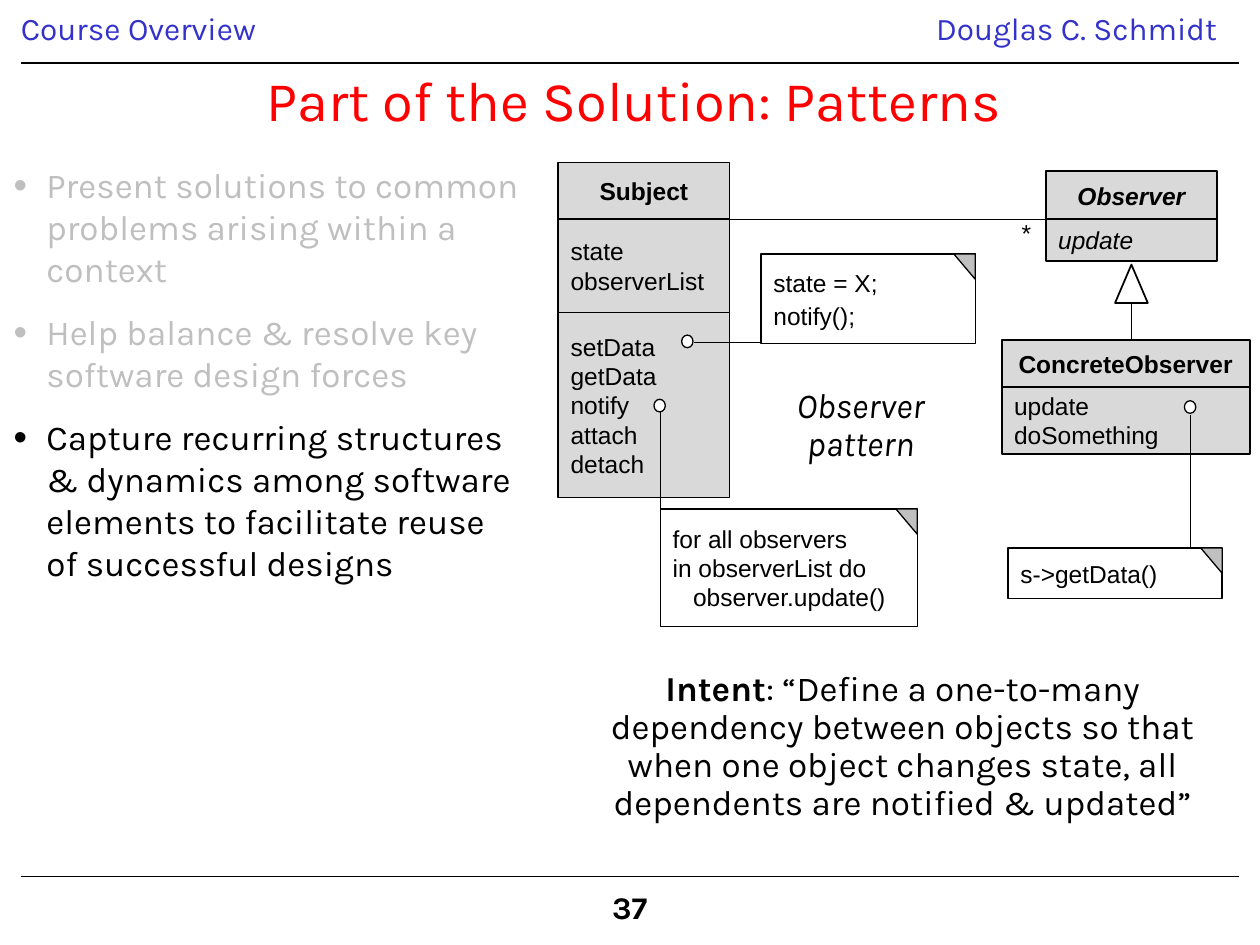
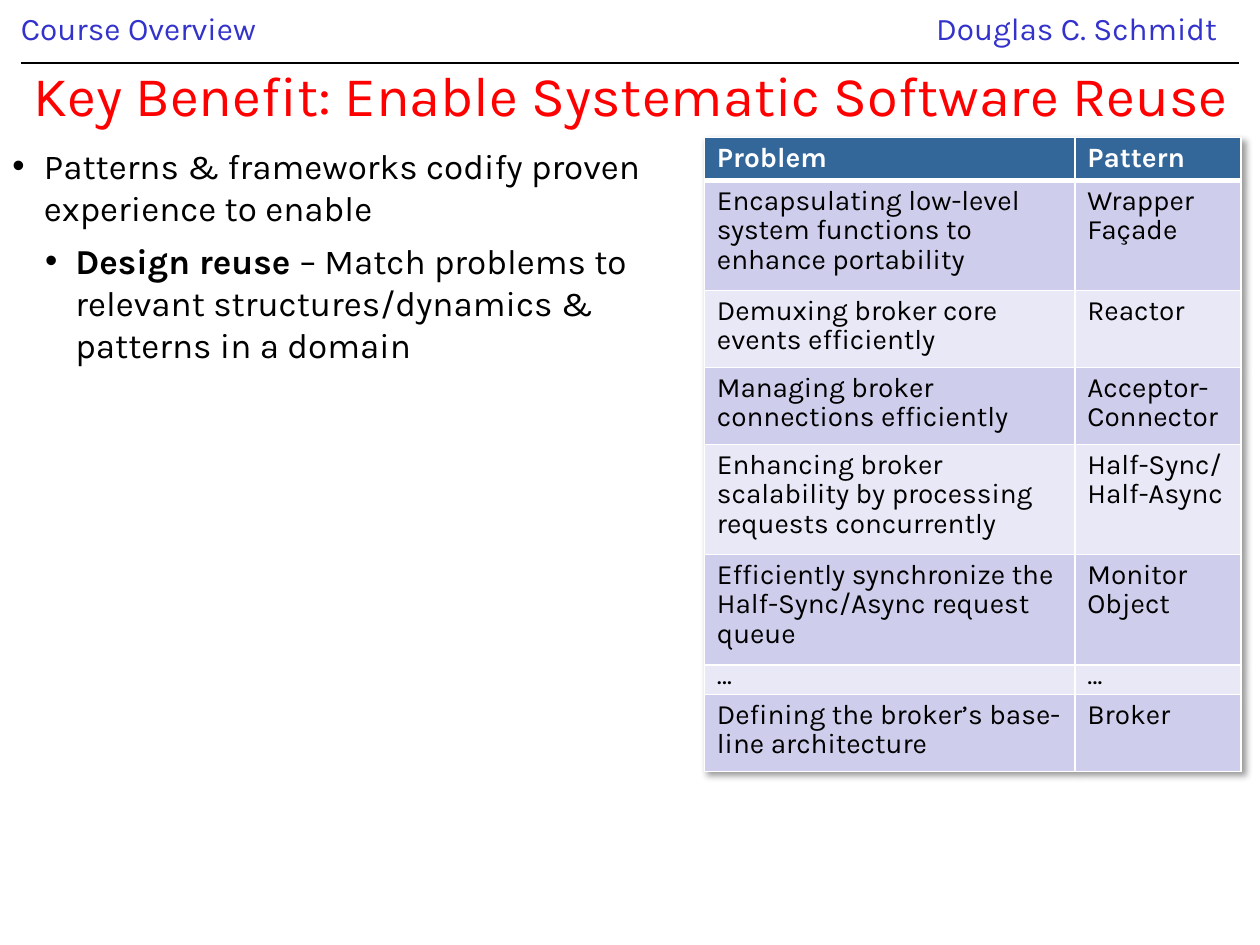
from dataclasses import dataclass
from typing import NamedTuple

from lxml.etree import SubElement
from pptx import Presentation
from pptx.dml.color import RGBColor
from pptx.enum.shapes import MSO_CONNECTOR, MSO_SHAPE
from pptx.enum.text import MSO_ANCHOR, PP_ALIGN
from pptx.oxml import parse_xml
from pptx.oxml.ns import nsdecls, qn
from pptx.util import Pt


@dataclass(frozen=True)
class Theme:
    ink: str = "000000"
    white: str = "FFFFFF"
    blue: str = "3333CC"
    red: str = "FF0000"
    faded: str = "BFBFBF"
    fold: str = "C0C0C0"
    box: str = "D9D9D9"
    head: str = "336699"
    bands: tuple = ("E8E8F6", "CECEEC")
    face: str = "Karla"
    code: str = "Arial"
    title: float = 32
    body: float = 20
    band: float = 18
    cell: float = 16
    label: float = 14
    thin: float = 0.75
    edge: float = 1


THEME = Theme()


class Box(NamedTuple):
    x: float
    y: float
    w: float
    h: float


class Run(NamedTuple):
    text: str
    size: float = THEME.body
    color: str = THEME.ink
    bold: bool = False
    slant: bool = False
    face: str = THEME.face


class Para(NamedTuple):
    runs: list
    align: PP_ALIGN = PP_ALIGN.LEFT
    left: float = 0
    hang: float = 0
    before: float = 0
    lines: float = 1
    bullet: str = ""
    scale: int = 100


class Panel(NamedTuple):
    """One compartment of a class box."""
    y: float
    h: float
    rows: list
    bold: bool = False
    slant: bool = False


class Class(NamedTuple):
    x: float
    w: float
    panels: list


class Note(NamedTuple):
    box: Box
    paras: list


class Line(NamedTuple):
    x: float
    y: float
    x2: float
    y2: float
    width: float = THEME.thin


def rgb(code: str) -> RGBColor:
    return RGBColor.from_string(code)


def place(box: Box) -> list:
    return [Pt(v) for v in box]


def write(frame, paras: list, wrap: bool = True, anchor=MSO_ANCHOR.TOP) -> None:
    frame.word_wrap = wrap
    frame.vertical_anchor = anchor
    for i, item in enumerate(paras):
        para = frame.paragraphs[0] if i == 0 else frame.add_paragraph()
        props = para._p.get_or_add_pPr()
        props.set("marL", str(Pt(item.left)))
        props.set("indent", str(Pt(-item.hang)))
        if item.bullet:
            tint = SubElement(props, qn("a:buClr"))
            SubElement(tint, qn("a:srgbClr"), val=item.runs[0].color)
            SubElement(props, qn("a:buSzPct"), val=str(item.scale * 1000))
            SubElement(props, qn("a:buFont"), typeface=THEME.code)
            SubElement(props, qn("a:buChar"), char=item.bullet)
        para.alignment = item.align
        para.line_spacing = item.lines
        para.space_before = Pt(item.before if i else 0)
        for run in item.runs:
            for n, part in enumerate(run.text.split("\n")):
                if n:
                    para.add_line_break()
                piece = para.add_run()
                piece.text = part
                font = piece.font
                font.name, font.size = run.face, Pt(run.size)
                font.bold, font.italic = run.bold, run.slant
                font.color.rgb = rgb(run.color)


def text(slide, box: Box, paras: list, wrap: bool = True,
         anchor=MSO_ANCHOR.TOP, inset: float = 7.2) -> None:
    frame = slide.shapes.add_textbox(*place(box)).text_frame
    frame.margin_left = frame.margin_right = Pt(inset)
    write(frame, paras, wrap, anchor)


def paint(shape, fill: str, width: float) -> None:
    shape.shadow.inherit = False
    shape.fill.solid()
    shape.fill.fore_color.rgb = rgb(fill)
    shape.line.color.rgb = rgb(THEME.ink)
    shape.line.width = Pt(width)


def solid(slide, kind, box: Box, fill: str, width: float):
    shape = slide.shapes.add_shape(kind, *place(box))
    paint(shape, fill, width)
    return shape


def rule(slide, line: Line) -> None:
    wire = slide.shapes.add_connector(MSO_CONNECTOR.STRAIGHT, *[Pt(v) for v in line[:4]])
    wire.line.color.rgb = rgb(THEME.ink)
    wire.line.width = Pt(line.width)
    SubElement(wire._element.spPr, qn("a:effectLst"))


def code(words: str, bold: bool = False, slant: bool = False) -> Run:
    return Run(words, THEME.label, THEME.ink, bold, slant, THEME.code)


def draw_class(slide, item: Class) -> None:
    for panel in item.panels:
        box = Box(item.x, panel.y, item.w, panel.h)
        shape = solid(slide, MSO_SHAPE.RECTANGLE, box, THEME.box, THEME.edge)
        align = PP_ALIGN.CENTER if panel.bold else PP_ALIGN.LEFT
        paras = [Para([code(row, panel.bold, panel.slant)], align) for row in panel.rows]
        write(shape.text_frame, paras, anchor=MSO_ANCHOR.MIDDLE)


def draw_note(slide, note: Note) -> None:
    """Draw a note whose top right corner is folded."""
    shape = solid(slide, MSO_SHAPE.RECTANGLE, note.box, THEME.white, THEME.thin)
    write(shape.text_frame, note.paras, anchor=MSO_ANCHOR.MIDDLE)
    right, top = note.box.x + note.box.w, note.box.y
    path = slide.shapes.build_freeform(Pt(right - 12.2), Pt(top))
    path.add_line_segments([(Pt(right), Pt(top + 14.4)), (Pt(right), Pt(top))], close=True)
    paint(path.convert_to_shape(), THEME.fold, THEME.thin)


def start(deck, title: str, box: Box):
    """Add a slide with the shared top band and its title."""
    slide = deck.slides.add_slide(deck.slide_layouts[6])

    def band(words: str) -> list:
        return [Para([Run(words, THEME.band, THEME.blue)], lines=0.9)]

    text(slide, Box(12, 4.3, 426, 26.6), band("Course Overview"), inset=0)
    text(slide, Box(527.8, 4.3, 180.7, 28.8), band("Douglas C. Schmidt"))
    rule(slide, Line(12, 36, 708, 36))
    head = Para([Run(title, THEME.title, THEME.red)], PP_ALIGN.CENTER)
    text(slide, box, [head], anchor=MSO_ANCHOR.MIDDLE)
    return slide


def foot(slide, page: int) -> None:
    rule(slide, Line(12, 501, 708, 501))
    words = Run(str(page), THEME.band, bold=True)
    text(slide, Box(342.7, 506.2, 36.7, 28.8), [Para([words], lines=0.9)], wrap=False)


POINTS = [
    ("Present solutions to common problems arising within a context", THEME.faded),
    ("Help balance & resolve key software design forces", THEME.faded),
    ("Capture recurring structures\n& dynamics among software elements to facilitate "
     "reuse of successful designs", THEME.ink),
]
CLASSES = [
    Class(319, 97.9, [
        Panel(92.9, 32.4, ["Subject"], bold=True),
        Panel(125.3, 53.3, ["state", "observerList"]),
        Panel(178.6, 105.8, ["setData", "getData", "notify", "attach", "detach"])]),
    Class(597.6, 97.9, [
        Panel(97.9, 27.4, ["Observer"], bold=True, slant=True),
        Panel(125.3, 23.8, ["update"], slant=True)]),
    Class(572.4, 141.8, [
        Panel(194.4, 26.8, ["ConcreteObserver"], bold=True),
        Panel(221.2, 38.2, ["update", "doSomething"])]),
]
NOTES = [
    Note(Box(434.9, 145.2, 122.4, 51.1),
         [Para([code("state = X;")]), Para([code("notify();")], before=2)]),
    Note(Box(377.3, 290.9, 146.9, 67),
         [Para([code("for all observers\nin observerList do")]),
          Para([code("observer.update()")], left=11.7)]),
    Note(Box(576, 313.2, 122.4, 28.8), [Para([code("s->getData()")])]),
]
LINES = [
    Line(416.9, 125.3, 597.6, 125.3),
    Line(434.9, 195.8, 396.7, 195.8),
    Line(377.3, 234, 377.3, 329),
    Line(680.4, 236.9, 680.4, 313.2),
    Line(646.6, 173.5, 646.6, 194.4, THEME.edge),
]
DOTS = [(389.5, 191.5), (373.7, 228.2), (676.8, 229)]


def draw_patterns(deck) -> None:
    slide = start(deck, "Part of the Solution: Patterns", Box(-0.7, 20.9, 726.5, 72))
    foot(slide, 37)
    text(slide, Box(0.7, 90, 303.1, 250), [
        Para([Run(words, color=tint)], left=18.7, hang=18.7, before=12, bullet="•", scale=110)
        for words, tint in POINTS])
    for item in CLASSES:
        draw_class(slide, item)
    for note in NOTES:
        draw_note(slide, note)
    for line in LINES:
        rule(slide, line)
    for x, y in DOTS:
        solid(slide, MSO_SHAPE.OVAL, Box(x, y, 6.5, 7.2), THEME.white, THEME.thin)
    solid(slide, MSO_SHAPE.ISOSCELES_TRIANGLE, Box(637.2, 151.2, 18.7, 21.9),
          THEME.white, THEME.edge)
    mid = PP_ALIGN.CENTER
    text(slide, Box(576.7, 121, 19.4, 23.8), [Para([code("*")], mid)], wrap=False)
    text(slide, Box(432, 218.2, 119.5, 49.7),
         [Para([Run("Observer pattern", slant=True)], mid, lines=0.9)])
    text(slide, Box(323.3, 380.2, 367.2, 94.3), [Para([
        Run("Intent", bold=True),
        Run(": “Define a one-to-many dependency between objects so that when one object "
            "changes state, all dependents are notified & updated”")],
        mid, left=18, lines=0.9)])


ROWS = [
    (24, "Problem", "Pattern"),
    (63, "Encapsulating low-level system functions to enhance portability", "Wrapper Façade"),
    (44, "Demuxing broker core events efficiently", "Reactor"),
    (44, "Managing broker connections efficiently", "Acceptor-\nConnector"),
    (63, "Enhancing broker scalability by processing requests concurrently",
     "Half-Sync/ Half-Async"),
    (63, "Efficiently synchronize the Half-Sync/Async request queue", "Monitor\nObject"),
    (16, "…", "…"),
    (44, "Defining the broker’s base-line architecture", "Broker"),
]


def frame_cell(cell, top: float, base: float) -> None:
    """Give a cell white borders, placed before its fill."""
    props = cell._tc.get_or_add_tcPr()
    for i, (side, width) in enumerate(zip("LRTB", (1, 1, top, base))):
        props.insert(i, parse_xml(
            f'<a:ln{side} {nsdecls("a")} w="{Pt(width)}"><a:solidFill>'
            f'<a:srgbClr val="{THEME.white}"/></a:solidFill></a:ln{side}>'))


def draw_table(slide) -> None:
    box = Box(402.5, 78.5, 306.7, sum(row[0] for row in ROWS))
    table = slide.shapes.add_table(len(ROWS), 2, *place(box)).table
    table.horz_banding = False
    table._tbl.tblPr.insert(0, parse_xml(
        f'<a:effectLst {nsdecls("a")}><a:outerShdw blurRad="{Pt(4)}" dist="{Pt(3)}" '
        f'dir="2700000" algn="tl"><a:srgbClr val="{THEME.ink}"><a:alpha val="40000"/>'
        '</a:srgbClr></a:outerShdw></a:effectLst>'))
    for col, width in zip(table.columns, (211.7, 95)):
        col.width = Pt(width)
    for r, (high, *words) in enumerate(ROWS):
        table.rows[r].height = Pt(high)
        head = r == 0
        for c, word in enumerate(words):
            cell = table.cell(r, c)
            cell.fill.solid()
            cell.fill.fore_color.rgb = rgb(THEME.head if head else THEME.bands[r % 2])
            frame_cell(cell, 3 if r == 1 else 1, 3 if head else 1)
            run = Run(word, THEME.cell, THEME.white if head else THEME.ink, head)
            write(cell.text_frame, [Para([run], lines=0.5 if word == "…" else 0.9)])


def draw_reuse(deck) -> None:
    slide = start(deck, "Key Benefit: Enable Systematic Software Reuse",
                  Box(0.7, 38.9, 720, 30.2))
    text(slide, Box(0, 79.2, 392.4, 332.6), [
        Para([Run("Patterns & frameworks codify proven experience to enable")],
             left=18, hang=18, bullet="•"),
        Para([Run("Design reuse ", bold=True),
              Run("– Match problems to relevant structures/dynamics & patterns in a domain")],
             left=36, hang=17.3, before=6, bullet="•")])
    draw_table(slide)


def main() -> None:
    deck = Presentation()
    deck.slide_width, deck.slide_height = Pt(720), Pt(540)
    draw_patterns(deck)
    draw_reuse(deck)
    deck.save("out.pptx")


if __name__ == "__main__":
    main()
